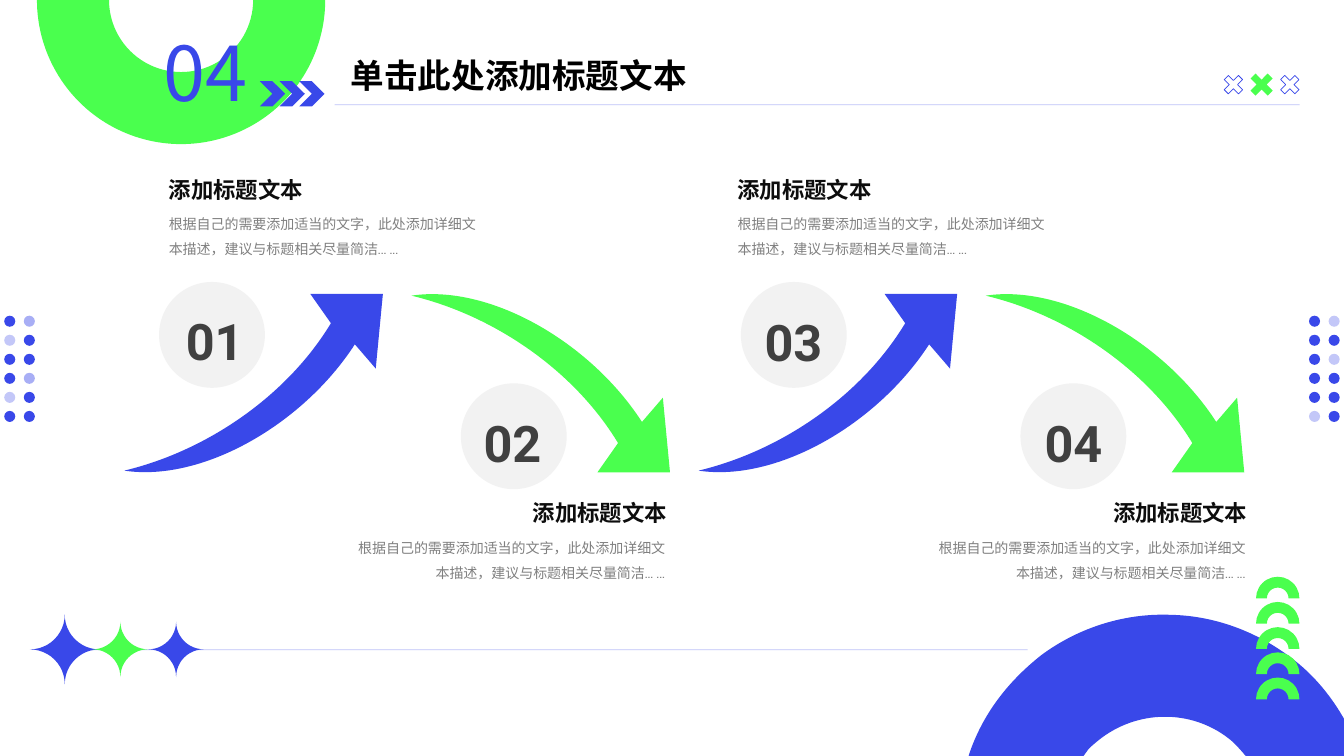
from lxml import etree
from pptx import Presentation
from pptx import util as u
from pptx.dml.color import RGBColor
from pptx.enum import shapes, text
from pptx.oxml.ns import qn

BLUE, GREEN, GREY = "3948E9", "4AFF4E", "F2F2F2"
CJK = "Noto Sans CJK SC"
SECTION = "04"
TITLE = "单击此处添加标题文本"
HEAD = "添加标题文本"
BODY = "根据自己的需要添加适当的文字，此处添加详细文本描述，建议与标题相关尽量简洁... ..."

FORMATS = {
    "section": dict(size=u.Pt(54), name=CJK, color=BLUE),
    "title": dict(size=u.Pt(24), name="Cabin", bold=True, color="000000"),
    "number": dict(size=u.Pt(36), name="Roboto", bold=True, color="404040"),
    "head": dict(size=u.Pt(16), name="Cabin", bold=True, color="0D0D0D"),
    "body": dict(size=u.Pt(10), name="Cabin", color="808080"),
}
LEFT, CENTER, RIGHT = text.PP_ALIGN.LEFT, text.PP_ALIGN.CENTER, text.PP_ALIGN.RIGHT

# number, circle left, number left, number top, text edge
STEPS = [
    ("01", 113.6, 106.6, 217.8, 113.5),
    ("02", 329.2, 319.3, 290.9, 482.7),
    ("03", 529.2, 520, 218.9, 519.8),
    ("04", 728.9, 720, 290.9, 897.3),
]
ARROW_LEFT, ARROW_TOP, ARROW_STEP, ARROW_HEIGHT = 88.8, 210, 205.1, 127.4
ARROW = [
    (0, 126.2), (58.3, 112.3, 115.9, 73.4, 147.6, 20.9), (132.9, 0), (184.7, 0),
    (179.6, 53.3), (164.7, 36), (127.4, 93.6, 55.4, 134.6, 0, 126.2),
]
RING = [
    (836.6, 439.2), (869, 439.9, 901.4, 452.2, 928.1, 474.5),
    (941, 485.3, 951.8, 499, 960, 513.4), (960, 540), (889.9, 540), (889.2, 539.3),
    (886.3, 535.7, 883.4, 532.8, 880.6, 529.9), (853.9, 506.9, 815, 506.2, 787, 527),
    (784.1, 529.2, 780.5, 532.1, 777.6, 535), (774, 540), (691.9, 540), (692.6, 537.8),
    (702, 510.5, 719.3, 487.4, 743.8, 468), (771.1, 447.8, 804.2, 437.8, 836.6, 439.2),
]
DOTS = [
    (3, [(100, 44), (30, 100), (100, 100), (100, 44), (30, 100), (100, 100)]),
    (935, [(100, 30), (100, 100), (100, 30), (100, 100), (100, 100), (30, 100)]),
]
CROSSES = [(873.8, 53.3, 14.4, False), (892.5, 51.8, 17.3, True), (914.1, 53.3, 14.4, False)]
STARS = [(21.4, 439, 49.7, BLUE), (106, 444, 39.6, BLUE), (66.2, 444, 39.6, GREEN)]
RULES = [(239, 928.4, 74.9), (34.6, 734, 464.2)]


def rgb(color):
    return RGBColor.from_string(color)


def set_alpha(fill_parent, percent):
    clr = next(fill_parent.iter(qn("a:srgbClr")))
    etree.SubElement(clr, qn("a:alpha")).set("val", str(percent * 1000))


def paint(sp, color, alpha=100):
    sp.shadow.inherit = False
    sp.line.fill.background()
    sp.fill.solid()
    sp.fill.fore_color.rgb = rgb(color)
    if alpha < 100:
        set_alpha(sp._element.spPr, alpha)
    return sp


def add_preset(kind, x, y, size, color, alpha=100):
    sp = s.shapes.add_shape(kind, u.Pt(x), u.Pt(y), u.Pt(size), u.Pt(size))
    return paint(sp, color, alpha)


def add_outline(steps, color, place=lambda x, y: (x, y)):
    knots = [[tuple(u.Pt(v) for v in place(*step[k:k + 2])) for k in range(0, len(step), 2)]
             for step in steps]
    fb = s.shapes.build_freeform(*knots[0][0], scale=1.0)
    fb.add_line_segments([knot[-1] for knot in knots[1:]], close=True)
    sp = paint(fb.convert_to_shape(), color)
    segments = list(sp._element.spPr.iter(qn("a:lnTo")))
    for segment, knot in zip(segments, knots[1:]):
        if len(knot) == 3:
            segment.tag = qn("a:cubicBezTo")
            segment.clear()
            for x, y in knot:
                pt = etree.SubElement(segment, qn("a:pt"))
                pt.set("x", str(x - sp.left))
                pt.set("y", str(y - sp.top))


def add_text(words, style, x, y, w, h, align=LEFT, wrap=True, spacing=None):
    tf = s.shapes.add_textbox(u.Pt(x), u.Pt(y), u.Pt(w), u.Pt(h)).text_frame
    tf.word_wrap = wrap
    tf.auto_size = text.MSO_AUTO_SIZE.SHAPE_TO_FIT_TEXT
    p = tf.paragraphs[0]
    p.alignment, p.line_spacing = align, spacing
    r = p.add_run()
    r.text = words
    for key, value in FORMATS[style].items():
        if key == "color":
            r.font.color.rgb = rgb(value)
        else:
            setattr(r.font, key, value)
    etree.SubElement(r._r.get_or_add_rPr(), qn("a:ea")).set("typeface", CJK)


prs = Presentation()
prs.slide_width, prs.slide_height = u.Pt(960), u.Pt(540)
s = prs.slides.add_slide(prs.slide_layouts[6])
kinds = shapes.MSO_SHAPE

add_outline(RING, BLUE)
add_preset(kinds.BLOCK_ARC, 26.4, -103, 205.9, GREEN).rotation = 180
for i in range(5):
    add_preset(kinds.BLOCK_ARC, 897.2, 412 + 18 * i, 31, GREEN)
for i in range(3):
    add_preset(kinds.CHEVRON, 185.6 + 14.1 * i, 58, 18, BLUE)

for left, rows in DOTS:
    for row, alphas in enumerate(rows):
        for col, alpha in enumerate(alphas):
            add_preset(kinds.OVAL, left + 14 * col, 225.5 + 13.6 * row, 7.9, BLUE, alpha)

for x, y, size, solid in CROSSES:
    sp = add_preset(kinds.CROSS, x, y, size, GREEN)
    sp.rotation, sp.adjustments[0] = 45, 0.356
    if not solid:
        sp.fill.background()
        sp.line.color.rgb = rgb(BLUE)
        sp.line.width = u.Pt(0.5)

for x1, x2, y in RULES:
    ln = s.shapes.add_connector(shapes.MSO_CONNECTOR.STRAIGHT, u.Pt(x1), u.Pt(y), u.Pt(x2), u.Pt(y))
    ln.line.color.rgb = rgb(BLUE)
    ln.line.width = u.Pt(0.5)
    set_alpha(ln._element.spPr, 33)
    etree.SubElement(ln._element.spPr, qn("a:effectLst"))

for x, y, size, color in STARS:
    add_preset(kinds.PLAQUE, x, y, size, color).adjustments[0] = 0.5

add_text(SECTION, "section", 109.6, 15.1, 79.2, 72.7, wrap=False)
add_text(TITLE, "title", 243.4, 35.6, 285.8, 36)

for i, (number, circle_x, number_x, number_y, edge) in enumerate(STEPS):
    low = i % 2
    arrow_x = ARROW_LEFT + ARROW_STEP * i
    add_outline(ARROW, GREEN if low else BLUE,
                lambda x, y: (arrow_x + x, ARROW_TOP + (ARROW_HEIGHT - y if low else y)))
    add_preset(kinds.OVAL, circle_x, 273.8 if low else 201.4, 75.6, GREY)
    add_text(number, "number", number_x, number_y, 93.6, 51.1, CENTER)
    align = RIGHT if low else LEFT
    top = 353.2 if low else 122.2
    add_text(BODY, "body", edge - 233.9 if low else edge, top + 22.3, 233.3, 41.8, align, spacing=1.5)
    add_text(HEAD, "head", edge - 175 if low else edge, top, 175.7, 26.6, align)

prs.save("out.pptx")
